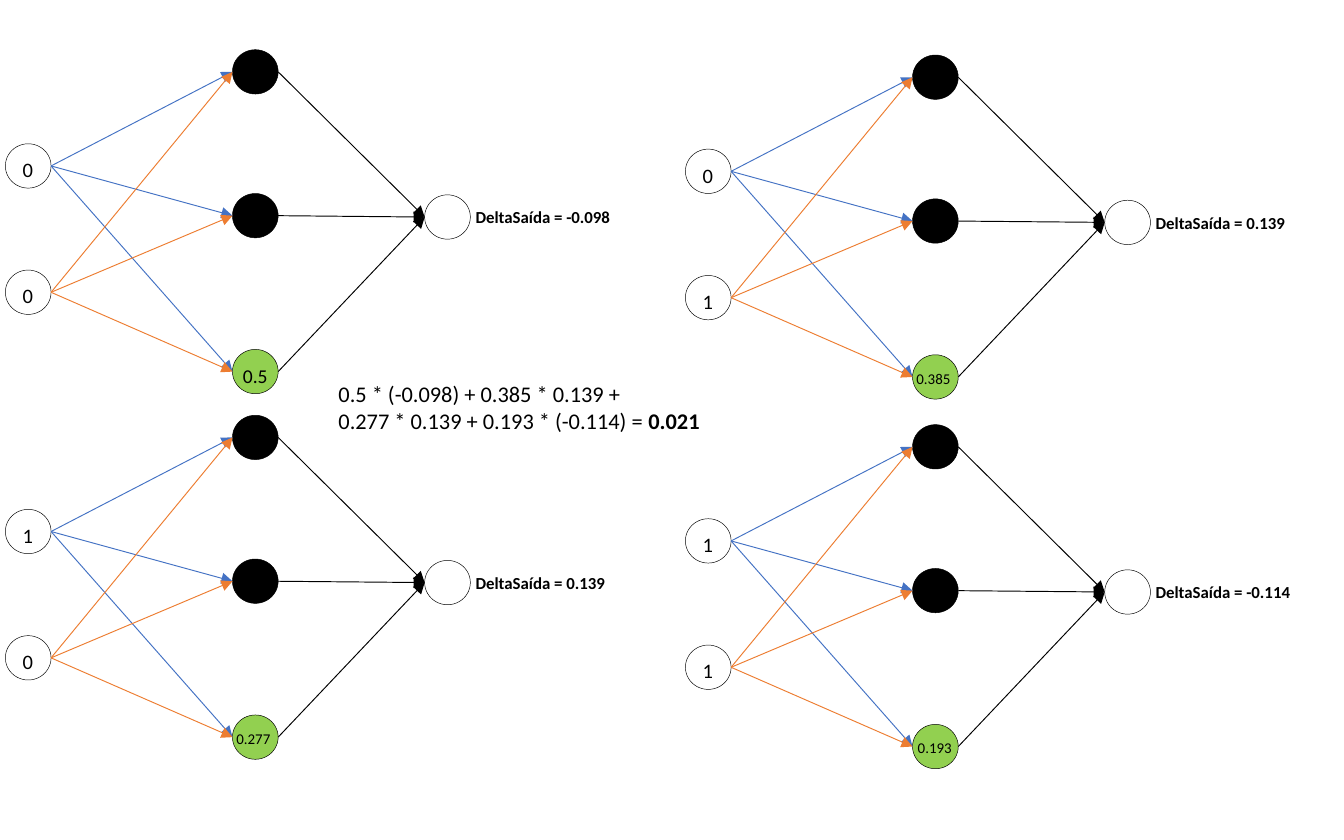
"""Build a slide of four small neural networks and their weighted delta sum."""
from lxml import etree
from pptx import Presentation
from pptx.dml.color import RGBColor
from pptx.enum.shapes import MSO_CONNECTOR, MSO_SHAPE
from pptx.enum.text import MSO_AUTO_SIZE
from pptx.oxml.ns import qn
from pptx.util import Inches, Pt

OVAL = MSO_SHAPE.OVAL
LINE = MSO_CONNECTOR.STRAIGHT
GROW = MSO_AUTO_SIZE.SHAPE_TO_FIT_TEXT
HEX = {"black": "000000", "white": "FFFFFF", "green": "92D050",
       "blue": "4472C4", "orange": "ED7D31"}
INK = {name: RGBColor.from_string(code) for name, code in HEX.items()}
WIDE, HIGH = 0.34, 0.33
IN_X, MID_X, OUT_X = 0.04, 1.73, 3.16
IN_Y = [1.07, 2.01]
MID_Y = [0.37, 1.44, 2.6]
OUT_Y = 1.45
NETS = [
    (0, 0, "00", "0.5", 10.5, 1.71, 0.44, "-0.098", 1.46),
    (5.06, 0.04, "01", "0.385", 8, 1.66, 0.52, "0.139", 1.39),
    (0, 2.72, "10", "0.277", 8, 1.66, 0.52, "0.139", 1.39),
    (5.06, 2.79, "11", "0.193", 8, 1.67, 0.52, "-0.114", 1.46),
]


def add_text(shapes, box, size, lines):
    text = shapes.add_textbox(*[Inches(n) for n in box]).text_frame
    text.word_wrap = False
    text.auto_size = GROW
    for i, line in enumerate(lines):
        para = text.add_paragraph() if i else text.paragraphs[0]
        for words, bold in line:
            run = para.add_run()
            run.text = words
            run.font.name = "Calibri"
            run.font.size = Pt(size)
            run.font.bold = bold
            run.font.color.rgb = INK["black"]


deck = Presentation()
deck.slide_width, deck.slide_height = Inches(10), Inches(6.25)
slide = deck.slides.add_slide(deck.slide_layouts[6])

for dx, dy, inputs, value, size, val_x, val_w, delta, delta_w in NETS:
    net = slide.shapes.add_group_shape().shapes

    nodes = [(MID_X, y, fill) for y, fill in zip(MID_Y, ["black", "black", "green"])]
    nodes += [(IN_X, y, "white") for y in IN_Y] + [(OUT_X, OUT_Y, "white")]
    for x, y, fill in nodes:
        node = net.add_shape(OVAL, Inches(x + dx), Inches(y + dy), Inches(WIDE), Inches(HIGH))
        node.shadow.inherit = False
        node.fill.solid()
        node.fill.fore_color.rgb = INK[fill]
        node.line.color.rgb = INK["black"]
        node.line.width = Pt(0.25)

    links = [(MID_X, y, OUT_X, OUT_Y, "black") for y in MID_Y]
    links += [(IN_X, a, MID_X, b, ink)
              for a, ink in zip(IN_Y, ["blue", "orange"]) for b in MID_Y]
    for x1, y1, x2, y2, ink in links:
        link = net.add_connector(LINE, Inches(x1 + WIDE + dx), Inches(y1 + HIGH / 2 + dy),
                                 Inches(x2 + dx), Inches(y2 + HIGH / 2 + dy))
        link.line.color.rgb = INK[ink]
        link.line.width = Pt(0.5)
        etree.SubElement(link.line._get_or_add_ln(), qn("a:tailEnd"), type="triangle")
        etree.SubElement(link._element.spPr, qn("a:effectLst"))

    for y, digit in zip(IN_Y, inputs):
        add_text(net, (IN_X + 0.03 + dx, y + 0.05 + dy, 0.3, 0.29), 11, [[(digit, False)]])
    add_text(net, (val_x + dx, 2.66 + dy, val_w, 0.24), size, [[(value, False)]])
    add_text(net, (3.44 + dx, 1.49 + dy, delta_w, 0.25), 9,
             [[(f"DeltaSaída = {delta}", True)]])

add_text(slide.shapes, (2.42, 2.78, 3.66, 0.5), 12, [
    [("0.5 * (-0.098) + 0.385 * 0.139 +", False)],
    [("0.277 * 0.139 + 0.193 * (-0.114) = ", False), ("0.021", True)],
])

deck.save("out.pptx")
